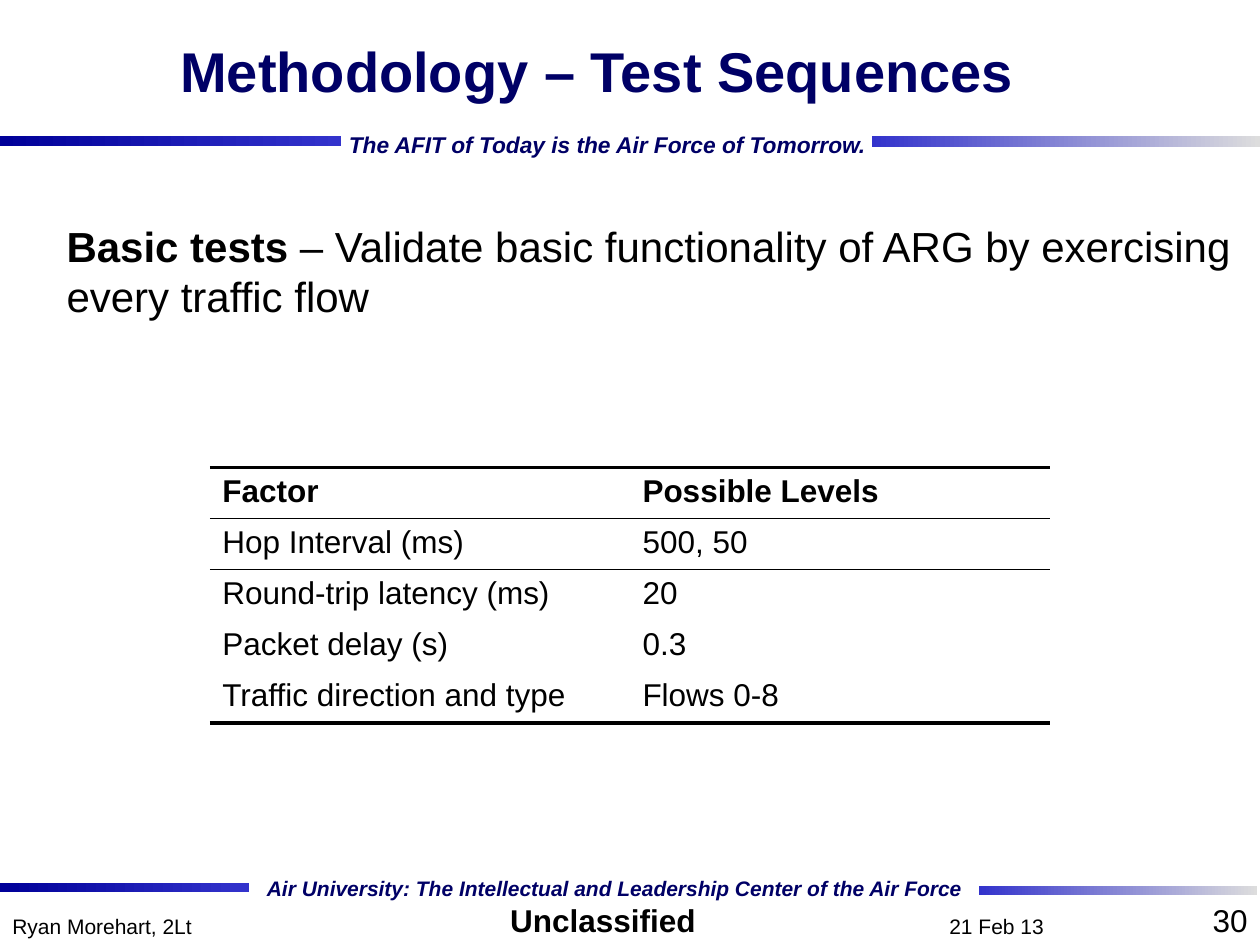
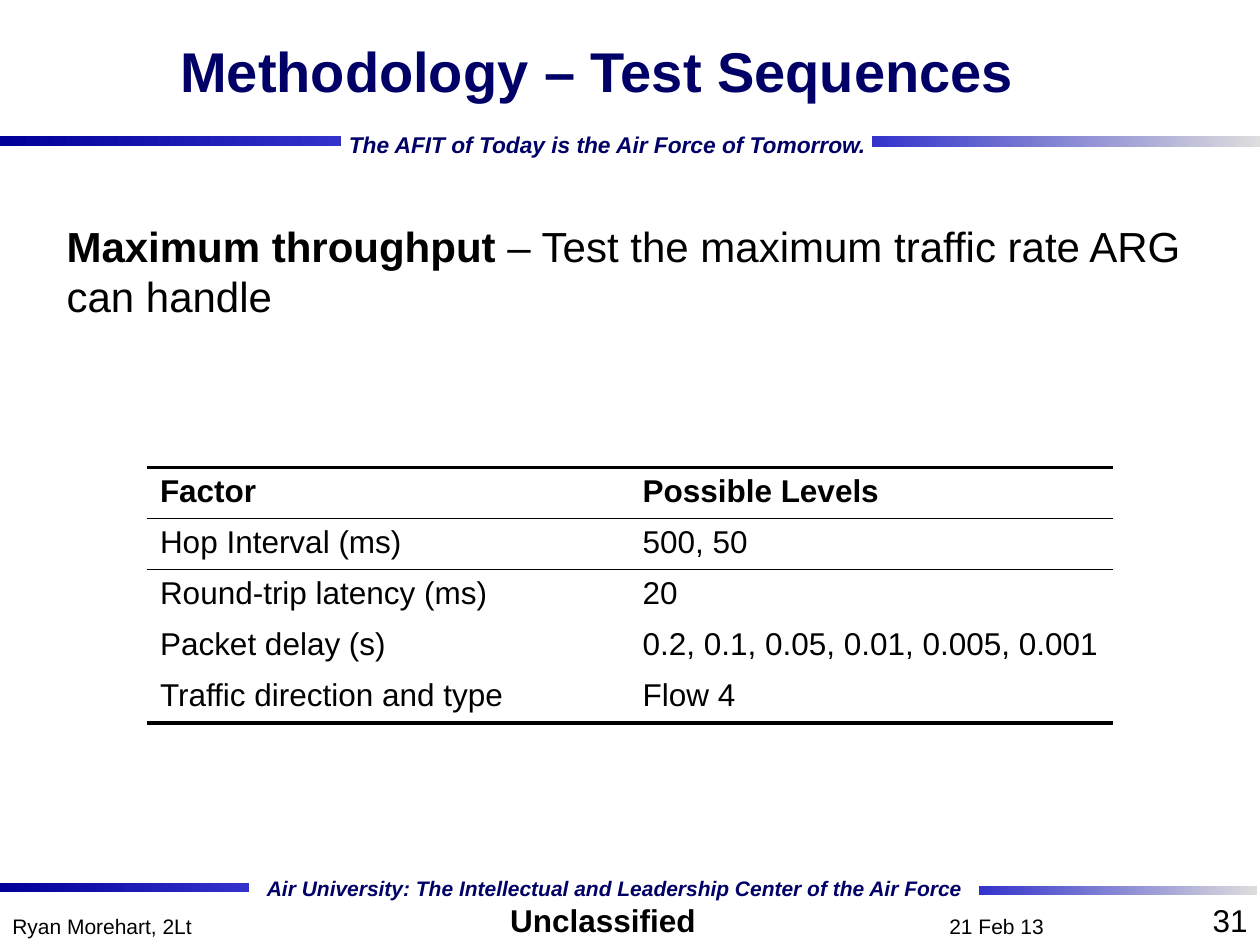
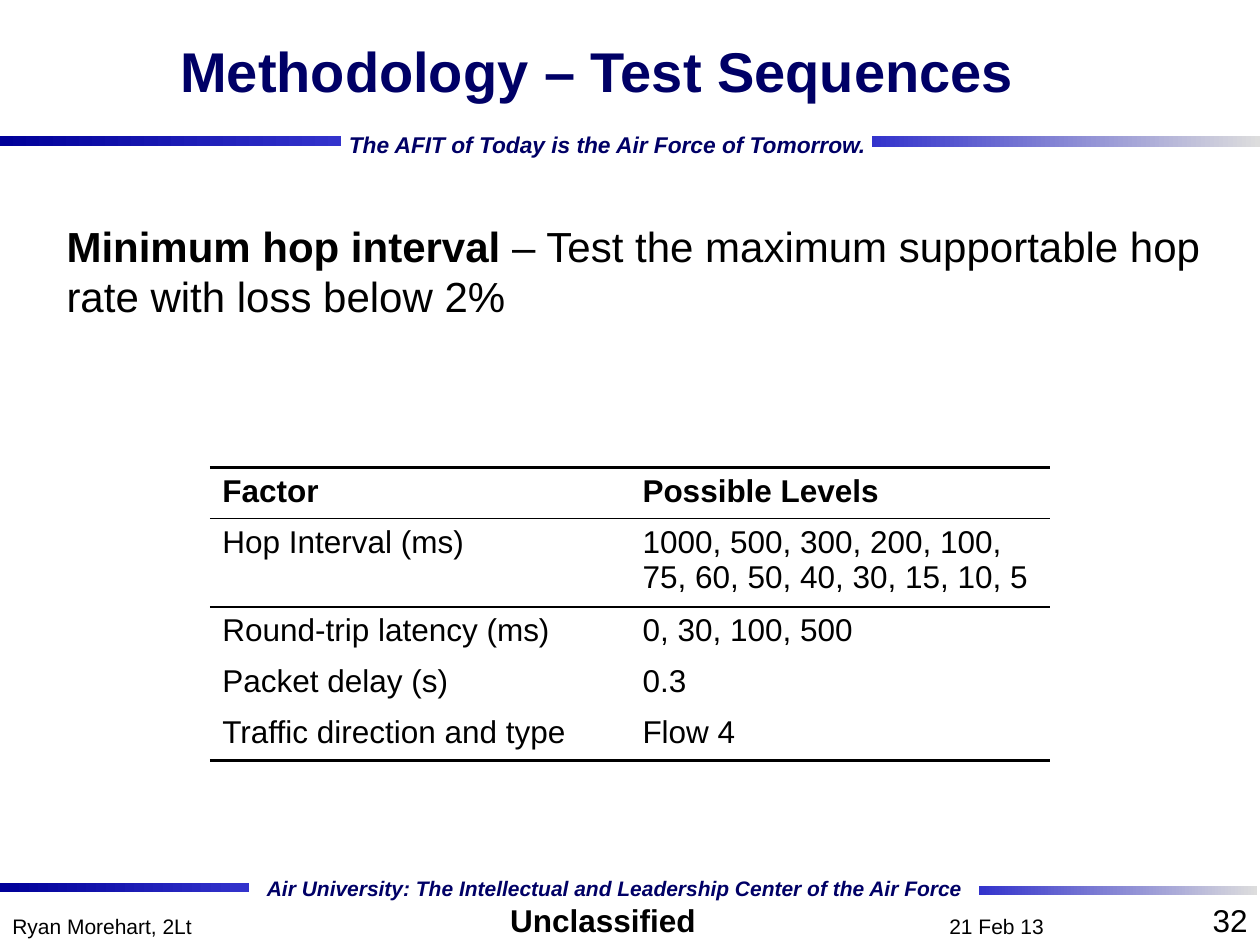
from dataclasses import dataclass
from lxml.etree import SubElement
from pptx import Presentation
from pptx.dml.color import RGBColor as Rgb
from pptx.enum.shapes import MSO_SHAPE as Shape
from pptx.enum.text import MSO_ANCHOR as Anchor, PP_ALIGN as Align
from pptx.oxml.ns import qn
from pptx.util import Inches, Pt


@dataclass(frozen=True)
class Theme:
    font: str = "Arial"
    navy: str = "000066"
    black: str = "000000"
    deep_blue: str = "000099"
    blue: str = "3333CC"
    silver: str = "DDDDDD"
    title_size: int = 32
    body_size: int = 24
    text_size: int = 18
    tagline_size: int = 13
    footer_size: int = 12
    heavy_rule: float = 2.25
    thin_rule: float = 1


theme = Theme()
NO_TABLE_STYLE = "{2D5ABB26-0587-4C30-8999-92F81FD0307C}"


def add_span(para, text, size, color=theme.black, bold=False, italic=False):
    span = para.add_run()
    span.text = text
    span.font.name = theme.font
    span.font.size = Pt(size)
    span.font.bold = bold
    span.font.italic = italic
    span.font.color.rgb = Rgb.from_string(color)


def add_box(page, place, align=Align.LEFT, wrap=True, anchor=Anchor.TOP):
    frame = page.shapes.add_textbox(*map(Inches, place)).text_frame
    frame.word_wrap = wrap
    frame.vertical_anchor = anchor
    para = frame.paragraphs[0]
    para.alignment = align
    return para


# Shared bands: place, left colour, right colour
bands = [
    ((0, 7.01, 1.98, 0.07), theme.deep_blue, theme.blue),
    ((7.77, 7.03, 2.21, 0.07), theme.blue, theme.silver),
    ((6.92, 1.08, 3.08, 0.09), theme.blue, theme.silver),
    ((0, 1.08, 2.71, 0.08), theme.deep_blue, theme.blue),
]

# Shared lines: text, place, alignment, wrap, style
motto = {"color": theme.navy, "bold": True, "italic": True}
shared_lines = [
    ("Air University: The Intellectual and Leadership Center of the Air Force",
     (2.02, 6.9, 5.76, 0.29), Align.LEFT, False, {"size": theme.footer_size, **motto}),
    ("The AFIT of Today is the Air Force of Tomorrow.",
     (2.67, 0.99, 4.35, 0.31), Align.LEFT, False, {"size": theme.tagline_size, **motto}),
    ("Unclassified", (3.95, 7.1, 1.69, 0.4), Align.LEFT, False,
     {"size": theme.text_size, "bold": True}),
    ("21 Feb 13", (6.73, 7.2, 2.36, 0.3), Align.CENTER, True, {"size": theme.footer_size}),
    ("Ryan Morehart, 2Lt", (0, 7.2, 2.36, 0.3), Align.LEFT, True, {"size": theme.footer_size}),
]

# Test sequences: name, purpose, table width, levels of each factor
factors = ["Hop Interval (ms)", "Round-trip latency (ms)", "Packet delay (s)",
           "Traffic direction and type"]
sequences = [
    ("Basic tests", " – Validate basic functionality of ARG by exercising every traffic flow",
     6.67, ["500, 50", "20", "0.3", "Flows 0-8"]),
    ("Maximum throughput", " – Test the maximum traffic rate ARG can handle",
     7.66, ["500, 50", "20", "0.2, 0.1, 0.05, 0.01, 0.005, 0.001", "Flow 4"]),
    ("Minimum hop interval", " – Test the maximum supportable hop rate with loss below 2%",
     6.67, ["1000, 500, 300, 200, 100, 75, 60, 50, 40, 30, 15, 10, 5",
            "0, 30, 100, 500", "0.3", "Flow 4"]),
]
page_width, table_top, table_height = 10, 3.71, 2.03

deck = Presentation()
deck.slide_width, deck.slide_height = Inches(page_width), Inches(7.5)

for number, (name, purpose, table_width, levels) in enumerate(sequences, start=30):
    page = deck.slides.add_slide(deck.slide_layouts[6])

    # Bands, mottos and footer
    for place, left_color, right_color in bands:
        band = page.shapes.add_shape(Shape.RECTANGLE, *map(Inches, place))
        band.shadow.inherit = False
        band.line.fill.background()
        band.fill.gradient()
        band.fill.gradient_angle = 0
        for stop, color in zip(band.fill.gradient_stops, (left_color, right_color)):
            stop.color.rgb = Rgb.from_string(color)
    for text, place, align, wrap, style in shared_lines:
        add_span(add_box(page, place, align, wrap), text, **style)
    add_span(add_box(page, (7.67, 7.1, 2.33, 0.4), Align.RIGHT), str(number), theme.text_size)

    # Title and description
    title = add_box(page, (1.1, 0, 7.28, 1.12), Align.CENTER, anchor=Anchor.MIDDLE)
    add_span(title, "Methodology – Test Sequences", theme.title_size, theme.navy, bold=True)
    description = add_box(page, (0.43, 1.7, 9.57, 4.5))
    description.space_before = Pt(2)
    add_span(description, name, theme.body_size, bold=True)
    add_span(description, purpose, theme.body_size)

    # Table of factors
    rows = [("Factor", "Possible Levels"), *zip(factors, levels)]
    table = page.shapes.add_table(
        len(rows), 2, Inches((page_width - table_width) / 2), Inches(table_top),
        Inches(table_width), Inches(table_height)).table
    table.horz_banding = False
    table._tbl.tblPr.find(qn("a:tableStyleId")).text = NO_TABLE_STYLE
    rules = {
        0: {"a:lnT": theme.heavy_rule, "a:lnB": theme.thin_rule},
        1: {"a:lnT": theme.thin_rule},
        len(rows) - 1: {"a:lnB": theme.heavy_rule},
    }
    for row_index, row in enumerate(rows):
        for column_index, text in enumerate(row):
            cell = table.cell(row_index, column_index)
            add_span(cell.text_frame.paragraphs[0], text, theme.text_size, bold=row_index == 0)
            # Borders precede the fill in the cell properties
            properties = cell._tc.get_or_add_tcPr()
            for side, weight in rules.get(row_index, {}).items():
                border = SubElement(properties, qn(side), w=str(Pt(weight)))
                SubElement(SubElement(border, qn("a:solidFill")), qn("a:srgbClr"),
                           val=theme.black)
            cell.fill.background()

deck.save("out.pptx")
